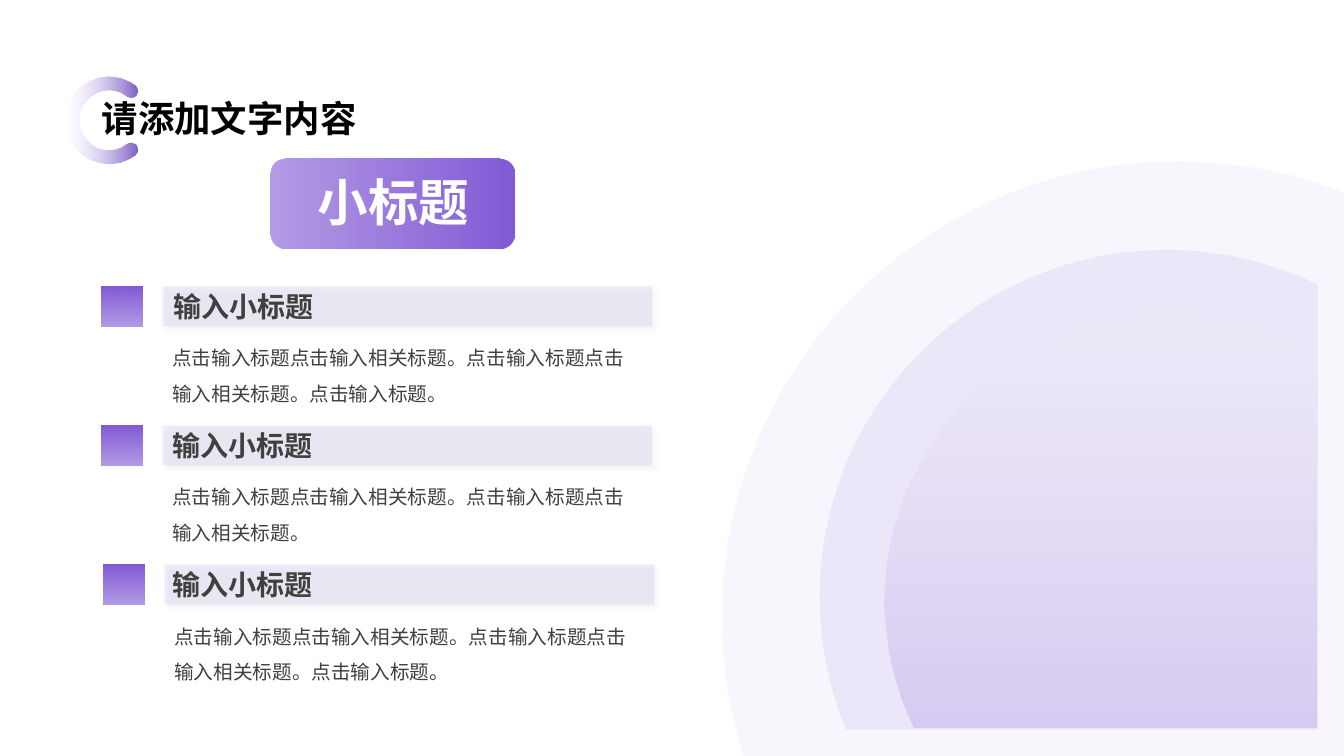
from math import acos, asin, cos, degrees, radians, sin
from lxml import etree
from pptx import Presentation
from pptx.dml.color import RGBColor
from pptx.enum.shapes import MSO_SHAPE
from pptx.enum.text import MSO_AUTO_SIZE, PP_ALIGN
from pptx.oxml.ns import qn
from pptx.util import Inches, Pt

RECT, ROUND, OVAL = MSO_SHAPE.RECTANGLE, MSO_SHAPE.ROUNDED_RECTANGLE, MSO_SHAPE.OVAL
LEFT, MID = PP_ALIGN.LEFT, PP_ALIGN.CENTER
GROW, FIXED = MSO_AUTO_SIZE.SHAPE_TO_FIT_TEXT, MSO_AUTO_SIZE.NONE
FONT = "Noto Sans CJK SC"
HEX = {"main": "825AD6", "pale": "D8C6FC", "deep": "5D39B3",
       "white": "FFFFFF", "black": "000000", "gray": "404040"}

TITLE = "请添加文字内容"
BADGE = "小标题"
HEAD = "输入小标题"
LONG = "点击输入标题点击输入相关标题。点击输入标题点击输入相关标题。"
ROWS = [
    (1.01, 1.62, LONG + "点击输入标题。"),
    (1.01, 1.61, LONG),
    (1.03, 1.61, LONG + "点击输入标题。"),
]
TOP, STEP, SIDE, BAR, GAP = 2.84, 1.38, 0.4, 4.86, 0.6
PANELS = [
    ((11.57, 5.92, 3.44), (13.07, 7.24), [("main", 10)]),
    ((11.62, 5.96, 2.85), (13.06, 7.22), [("white", 15), ("main", 20)]),
]
RING = {"x": 1.08, "y": 1.19, "out": 0.43, "in": 0.29, "cut": 53}
FADE = [("main", 100), ("main", 60)]

deck = Presentation()
deck.slide_width, deck.slide_height = Inches(13.33), Inches(7.5)
slide = deck.slides.add_slide(deck.slide_layouts[6])
shapes = slide.shapes


def paint(shape, stops, angle=270):
    """Fill a shape with one colour or a gradient of (name, opacity) stops."""
    shape.shadow.inherit = False
    shape.line.fill.background()
    if len(stops) == 1:
        shape.fill.solid()
        shape.fill.fore_color.rgb = RGBColor.from_string(HEX[stops[0][0]])
    else:
        shape.fill.gradient()
        shape.fill.gradient_angle = angle
        for pos, stop in enumerate(shape.fill.gradient_stops):
            stop.color.rgb = RGBColor.from_string(HEX[stops[pos][0]])
            stop.position = pos
    tints = list(shape.element.spPr.iter(qn("a:srgbClr")))
    for tint, (_, alpha) in zip(tints, stops):
        etree.SubElement(tint, qn("a:alpha"), val=str(alpha * 1000))
    return shape


def block(kind, box, stops):
    """Add a painted preset shape."""
    return paint(shapes.add_shape(kind, *map(Inches, box)), stops)


def shade(shape):
    """Give a shape a soft drop shadow."""
    effects = shape.element.spPr.find(qn("a:effectLst"))
    drop = etree.SubElement(effects, qn("a:outerShdw"), blurRad=str(Pt(4)),
                            dist=str(Pt(3)), dir="2700000", algn="tl", rotWithShape="0")
    tint = etree.SubElement(drop, qn("a:srgbClr"), val=HEX["black"])
    etree.SubElement(tint, qn("a:alpha"), val="40000")


def outline(box, start, arcs, stops, angle=270, corner=None):
    """Add a closed outline of (radius, start angle, sweep) arcs inside a box."""
    left, top, right, low = map(Inches, box)
    pen = shapes.build_freeform(left, top)
    pen.add_line_segments([(right, top), (right, low), (left, low)])
    shape = paint(pen.convert_to_shape(), stops, angle)
    path = next(shape.element.iter(qn("a:path")))
    for step in list(path):
        path.remove(step)

    def point(tag, spot):
        step = etree.SubElement(path, qn(tag))
        etree.SubElement(step, qn("a:pt"), x=str(Inches(spot[0]) - left),
                         y=str(Inches(spot[1]) - top))

    point("a:moveTo", start)
    for r, turn, sweep in arcs:
        size = str(Inches(r))
        etree.SubElement(path, qn("a:arcTo"), wR=size, hR=size,
                         stAng=str(round(turn % 360 * 60000)),
                         swAng=str(round(sweep * 60000)))
    if corner:
        point("a:lnTo", corner)
    etree.SubElement(path, qn("a:close"))


def write(text, box, size, color="gray", bold=False, align=LEFT, space=1.0, wrap=True):
    """Add a text box with one formatted paragraph."""
    frame = shapes.add_textbox(*map(Inches, box)).text_frame
    frame.word_wrap = wrap
    frame.auto_size = GROW if wrap else FIXED
    para = frame.paragraphs[0]
    para.alignment, para.line_spacing = align, space
    run = para.add_run()
    run.text = text
    font = run.font
    font.size, font.bold, font.name = Pt(size), bold, FONT
    font.color.rgb = RGBColor.from_string(HEX[color])
    etree.SubElement(font._element, qn("a:ea"), typeface=FONT)


def main():
    """Build and save the slide."""
    block(OVAL, (7.16, 1.6, 9.04, 9.04), [("main", 5)])
    for (x, y, r), (right, low), stops in PANELS:
        turn = -degrees(acos((right - x) / r))
        end = -180 - degrees(asin((low - y) / r))
        start = (right, y + r * sin(radians(turn)))
        outline((x - r, y - r, right, low), start, [(r, turn, end - turn)],
                stops, corner=(right, low))

    x, y, cut, out, hole = (RING[key] for key in ("x", "y", "cut", "out", "in"))
    cap, turn = (out - hole) / 2, radians(cut)
    far, sweep = 360 - cut, 360 - 2 * cut
    edge = x + (out + hole) / 2 * cos(turn) + cap
    outline((x - out, y - out, edge, y + out),
            (x + out * cos(turn), y + out * sin(turn)),
            [(out, cut, sweep), (cap, far, 180), (hole, far, -sweep),
             (cap, cut + 180, 180)],
            [("pale", 0), ("deep", 80)], angle=0)

    tops = [TOP + i * STEP for i in range(len(ROWS))]
    for top, (left, _, body) in zip(tops, ROWS):
        block(RECT, (left, top, SIDE, SIDE), FADE)
        shade(block(RECT, (left + GAP, top, BAR, SIDE), [("main", 10)]))
        write(body, (left + GAP, top + 0.43, BAR, 0.77), 14, space=1.5)
    for top, (_, head, _) in zip(tops, ROWS):
        write(HEAD, (head, top - 0.02, 1.6, 0.44), 20, bold=True)

    badge = block(ROUND, (3.45, 0.81, 0.89, 2.42), FADE)
    badge.rotation = 90
    write(BADGE, (3.01, 1.72, 1.78, 0.75), 36, color="white", bold=True,
          align=MID, space=0.9, wrap=False)
    write(TITLE, (0.91, 0.9, 4.05, 0.54), 26, color="black", bold=True)
    deck.save("out.pptx")


if __name__ == "__main__":
    main()
